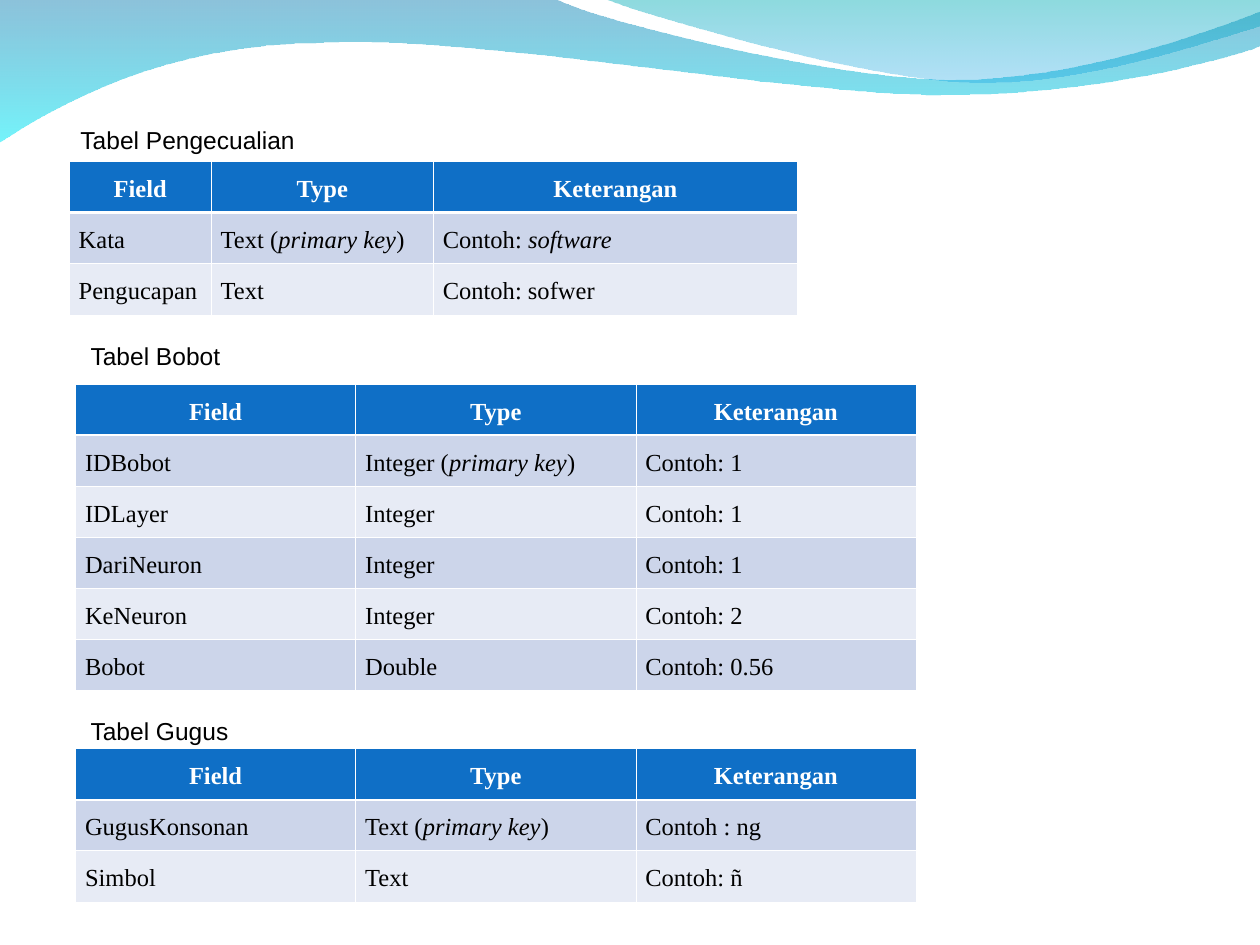
from lxml import etree
from pptx import Presentation
from pptx.dml.color import RGBColor
from pptx.enum.text import MSO_ANCHOR, MSO_AUTO_SIZE, PP_ALIGN
from pptx.oxml.ns import qn
from pptx.util import Inches, Pt

CENTER, LEFT, JUSTIFY = PP_ALIGN.CENTER, PP_ALIGN.LEFT, PP_ALIGN.JUSTIFY
MIDDLE = MSO_ANCHOR.MIDDLE
FIT_SHAPE = MSO_AUTO_SIZE.SHAPE_TO_FIT_TEXT

PAGE_WIDTH, PAGE_HEIGHT = 10, 7.5
THIN, THICK = 0.45, 1.47
SIDE_MARGIN = Pt(5.4)
HEADER_FILL, BANDS = "0F6FC6", ("CCD5EA", "E7EBF5")
HEADER = ("Field", "Type", "Keterangan")
HEADER_FONT = {"name": "Times New Roman", "size": Pt(14), "bold": True}
BODY_FONT = {"name": "Times New Roman", "size": Pt(14), "bold": False}
CAPTION_FONT = {"name": "Arial", "size": Pt(14)}
THIRDS = (1 / 3,) * 3

# Wave outlines in inches from the corner of their box:
# one point is a straight line, three points are a Bezier curve.
WAVES = [
    {"corner": (-0.01, -0.01), "start": (0.01, 0),
     "segments": [
         [(4.41, 0)],
         [(4.77, 0.18), (6.65, 0.64), (7.59, 0.64)],
         [(8.54, 0.64), (9.59, 0.27), (10.01, 0.1)],
         [(10.02, 0.37)],
         [(9.84, 0.45), (8.71, 0.77), (7.47, 0.76)],
         [(6.23, 0.76), (3.83, 0.29), (2.58, 0.35)],
         [(1.3, 0.36), (0.47, 0.84), (0, 1.14)],
         [(0.01, 0)]],
     "stops": [("0079AF", 45), ("00EBF8", 55)]},
    {"corner": (4.79, -0.01), "start": (0, 0),
     "segments": [
         [(0.3, 0.12), (2.03, 0.63), (2.9, 0.66)],
         [(3.77, 0.7), (4.82, 0.33), (5.21, 0.22)],
         [(5.21, 0.01)],
         [(0, 0)]],
     "stops": [("00ADB6", 45), ("009BE5", 30)]},
]

# Asterisks enclose italic words.
SECTIONS = [
    {"caption": "Tabel Pengecualian", "caption_box": (0.54, 0.94, 1.92, 0.34),
     "box": (0.55, 1.28, 5.78, 1.22), "shares": (0.195, 0.305, 0.5), "align": LEFT,
     "rows": [("Kata", "Text (*primary key*)", "Contoh: *software*"),
              ("Pengucapan", "Text", "Contoh: sofwer")]},
    {"caption": "Tabel Bobot", "caption_box": (0.62, 2.66, 1.25, 0.34),
     "box": (0.6, 3.05, 6.67, 2.43), "shares": THIRDS, "align": JUSTIFY,
     "rows": [("IDBobot", "Integer (*primary key*)", "Contoh: 1"),
              ("IDLayer", "Integer", "Contoh: 1"),
              ("DariNeuron", "Integer", "Contoh: 1"),
              ("KeNeuron", "Integer", "Contoh: 2"),
              ("Bobot", "Double", "Contoh: 0.56")]},
    {"caption": "Tabel Gugus", "caption_box": (0.62, 5.63, 1.31, 0.34),
     "box": (0.6, 5.94, 6.67, 1.22), "shares": THIRDS, "align": JUSTIFY,
     "rows": [("GugusKonsonan", "Text (*primary key*)", "Contoh : ng"),
              ("Simbol", "Text", "Contoh: ñ")]},
]


def color(value):
    return RGBColor.from_string(value)


def write(para, text, font_format, text_color):
    """Add text to a paragraph, with the parts between asterisks in italics."""
    for index, part in enumerate(text.split("*")):
        if part:
            span = para.add_run()
            span.text = part
            for name, value in font_format.items():
                setattr(span.font, name, value)
            span.font.italic = index % 2 == 1
            span.font.color.rgb = color(text_color)


def bend(shape, segments):
    """Join each three lines that hold a Bezier segment into one curve."""
    lines = iter(list(shape._element.iter(qn("a:lnTo"))))
    for segment in segments:
        parts = [next(lines) for _ in segment]
        if len(parts) == 3:
            curve = etree.Element(qn("a:cubicBezTo"))
            parts[0].addprevious(curve)
            for part in parts:
                curve.append(part[0])
                part.getparent().remove(part)


def add_wave(page, corner, start, segments, stops):
    points = [(Inches(corner[0] + x), Inches(corner[1] + y))
              for x, y in [start, *sum(segments, [])]]
    builder = page.shapes.build_freeform(*points[0])
    builder.add_line_segments(points[1:], close=True)
    wave = builder.convert_to_shape()
    bend(wave, segments)
    wave.shadow.inherit = False
    wave.line.fill.background()
    wave.fill.gradient()
    wave.fill.gradient_angle = 270
    for stop, (value, _) in zip(wave.fill.gradient_stops, stops):
        stop.color.rgb = color(value)
    for node, (_, opacity) in zip(wave._element.spPr.iter(qn("a:srgbClr")), stops):
        etree.SubElement(node, qn("a:alpha"), val=str(opacity * 1000))


def set_borders(cell, top, bottom):
    properties = cell._tc.get_or_add_tcPr()
    widths = {"a:lnL": THIN, "a:lnR": THIN, "a:lnT": top, "a:lnB": bottom}
    for index, (tag, width) in enumerate(widths.items()):
        line = etree.Element(qn(tag), w=str(Pt(width)))
        fill = etree.SubElement(line, qn("a:solidFill"))
        etree.SubElement(fill, qn("a:srgbClr"), val="FFFFFF")
        properties.insert(index, line)


def format_cell(cell, text, row, align):
    is_header = row == 0
    cell.fill.solid()
    cell.fill.fore_color.rgb = color(HEADER_FILL if is_header else BANDS[(row - 1) % 2])
    cell.vertical_anchor = MIDDLE
    cell.margin_left = cell.margin_right = SIDE_MARGIN
    para = cell.text_frame.paragraphs[0]
    para.alignment = CENTER if is_header else align
    para.line_spacing = 1.15
    write(para, text, HEADER_FONT if is_header else BODY_FONT,
          "FFFFFF" if is_header else "000000")
    set_borders(cell, THICK if row == 1 else THIN, THICK if is_header else THIN)


def add_field_table(page, box, shares, rows, align):
    all_rows = [HEADER, *rows]
    table = page.shapes.add_table(len(all_rows), len(shares), *map(Inches, box)).table
    for column, share in zip(table.columns, shares):
        column.width = Inches(box[2] * share)
    for row, texts in enumerate(all_rows):
        for column, text in enumerate(texts):
            format_cell(table.cell(row, column), text, row, align)


def add_caption(page, text, box):
    frame = page.shapes.add_textbox(*map(Inches, box)).text_frame
    frame.word_wrap = False
    frame.auto_size = FIT_SHAPE
    write(frame.paragraphs[0], text, CAPTION_FONT, "000000")


def add_section(page, caption, caption_box, **table):
    add_field_table(page, **table)
    add_caption(page, caption, caption_box)


def main():
    deck = Presentation()
    deck.slide_width, deck.slide_height = Inches(PAGE_WIDTH), Inches(PAGE_HEIGHT)
    page = deck.slides.add_slide(deck.slide_layouts[6])
    for wave in WAVES:
        add_wave(page, **wave)
    for section in SECTIONS:
        add_section(page, **section)
    deck.save("out.pptx")


if __name__ == "__main__":
    main()
